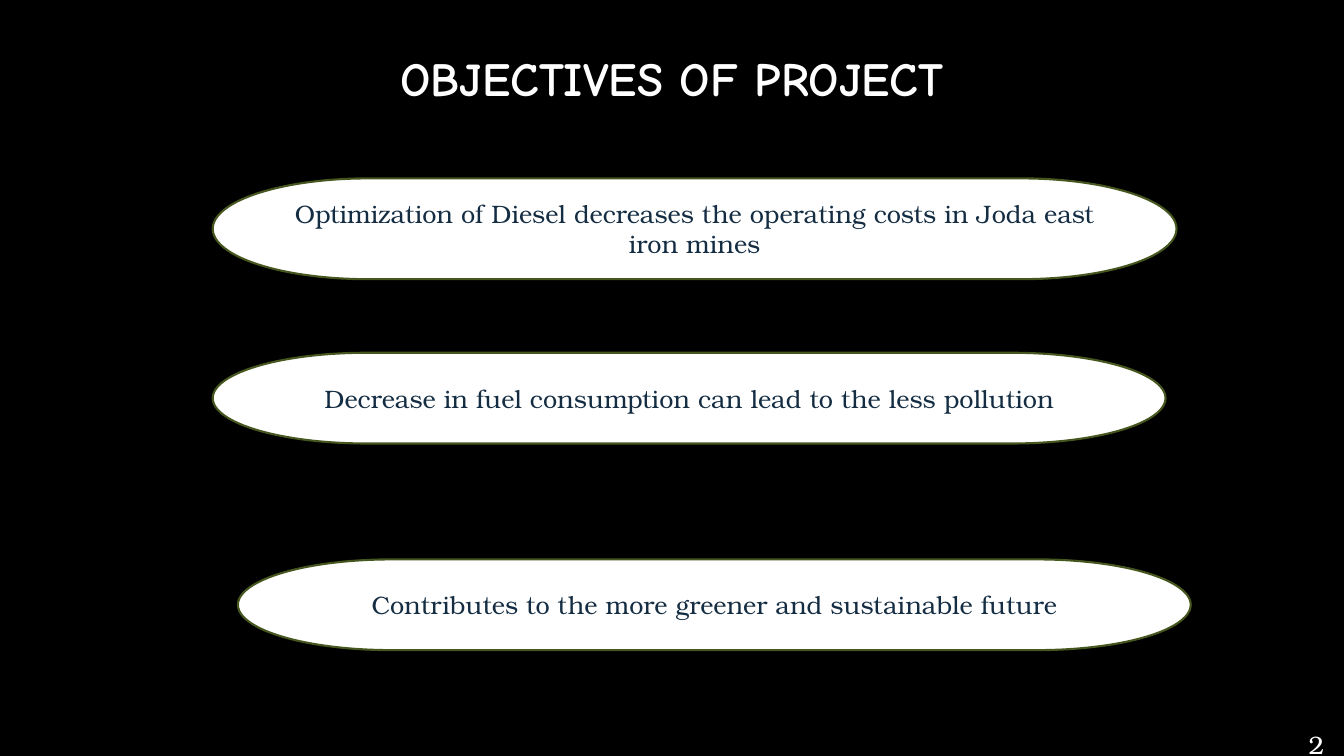
from pptx import Presentation
from pptx.dml.color import RGBColor
from pptx.enum.shapes import MSO_SHAPE
from pptx.enum.text import MSO_ANCHOR, MSO_AUTO_SIZE, PP_ALIGN
from pptx.util import Inches, Pt

TERMINATOR = MSO_SHAPE.FLOWCHART_TERMINATOR
MIDDLE, TOP = MSO_ANCHOR.MIDDLE, MSO_ANCHOR.TOP
CENTER, LEFT = PP_ALIGN.CENTER, PP_ALIGN.LEFT
NO_AUTOFIT, GROW = MSO_AUTO_SIZE.NONE, MSO_AUTO_SIZE.SHAPE_TO_FIT_TEXT
TITLE_FONT, BODY_FONT = "Comic Neue", "TeX Gyre Bonum"
BLACK, WHITE, NAVY, OLIVE = "000000", "FFFFFF", "142D43", "45561E"

OBJECTIVES = [
    ("Optimization of Diesel decreases the operating costs in Joda east iron mines",
     (2.11, 1.77, 9.56, 1)),
    ("Decrease in fuel consumption can lead to the less pollution",
     (2.11, 3.5, 9.45, 0.9)),
    ("Contributes to the more greener and sustainable future",
     (2.36, 5.55, 9.45, 0.9)),
]


def color(value):
    return RGBColor.from_string(value)


def set_text(sp, text, size=18, font=BODY_FONT, fill=NAVY, bold=False,
             align=CENTER, anchor=MIDDLE, spacing=1.0, fit=NO_AUTOFIT):
    tf = sp.text_frame
    tf.word_wrap = True
    tf.auto_size = fit
    tf.vertical_anchor = anchor
    p = tf.paragraphs[0]
    p.alignment = align
    p.line_spacing = spacing
    r = p.add_run()
    r.text = text
    r.font.size = Pt(size)
    r.font.name = font
    r.font.bold = bold
    r.font.color.rgb = color(fill)


def add_title(s, box, text):
    sp = s.shapes.title
    sp.left, sp.top, sp.width, sp.height = map(Inches, box)
    set_text(sp, text, size=34, font=TITLE_FONT, fill=WHITE, bold=True, spacing=0.9)


def add_objective(s, box, text):
    sp = s.shapes.add_shape(TERMINATOR, *map(Inches, box))
    sp.shadow.inherit = False
    sp.fill.solid()
    sp.fill.fore_color.rgb = color(WHITE)
    sp.line.color.rgb = color(OLIVE)
    sp.line.width = Pt(1.5)
    set_text(sp, text)


def add_page_number(s, box, text):
    sp = s.shapes.add_textbox(*map(Inches, box))
    set_text(sp, text, fill=WHITE, align=LEFT, anchor=TOP, fit=GROW)


def main():
    prs = Presentation()
    prs.slide_width, prs.slide_height = Inches(13.33), Inches(7.5)
    s = prs.slides.add_slide(prs.slide_layouts[5])
    s.background.fill.solid()
    s.background.fill.fore_color.rgb = color(BLACK)
    add_title(s, (1, 0.08, 11.33, 1.45), "OBJECTIVES OF PROJECT")
    for text, box in OBJECTIVES:
        add_objective(s, box, text)
    add_page_number(s, (12.88, 7.19, 0.45, 0.4), "2")
    prs.save("out.pptx")


if __name__ == "__main__":
    main()
